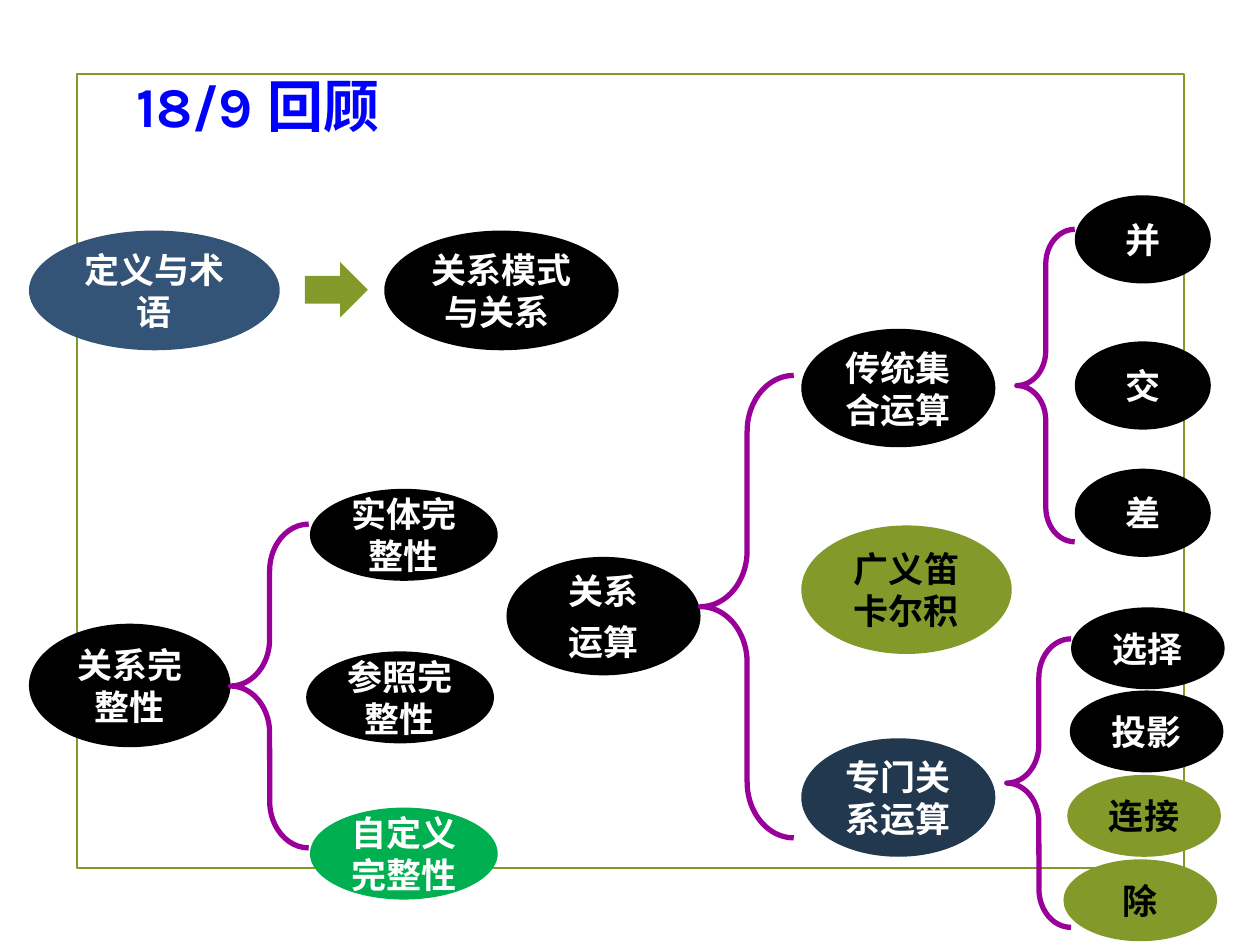
from dataclasses import dataclass

from pptx import Presentation, oxml, util as u
from pptx.dml import color
from pptx.enum import shapes, text
from pptx.oxml import ns

COLUMNS, ROWS = 100, 75
BLACK, WHITE, OLIVE, PURPLE = "000000", "FFFFFF", "83992A", "990099"
CJK_FONT = "Noto Sans CJK SC"

presentation = Presentation()
presentation.slide_width, presentation.slide_height = u.Inches(10), u.Inches(7.5)


@dataclass(frozen=True)
class Box:
    """Position and size in grid columns and rows."""
    column: float
    row: float
    columns: float
    rows: float


@dataclass(frozen=True)
class Topic:
    """An ellipse with a bold label."""
    label: str
    box: Box
    fill: str = BLACK
    ink: str = WHITE


def rgb(value: str) -> color.RGBColor:
    return color.RGBColor.from_string(value)


def grid(box: Box) -> tuple[int, int, int, int]:
    width = presentation.slide_width / COLUMNS
    height = presentation.slide_height / ROWS
    return (round(box.column * width), round(box.row * height),
            round(box.columns * width), round(box.rows * height))


def style_paragraph(paragraph, size: float, ink: str, latin: str = CJK_FONT) -> None:
    font = paragraph.font
    font.name, font.size, font.bold = latin, u.Pt(size), True
    font.color.rgb = rgb(ink)
    for run in paragraph.runs:
        east_asian = oxml.parse_xml(f'<a:ea {ns.nsdecls("a")} typeface="{CJK_FONT}"/>')
        run.font.name = latin
        run.font._element.append(east_asian)


def add_shape(slide, kind, box: Box, fill: str = "", line: str = "", weight: float = 1):
    shape = slide.shapes.add_shape(kind, *grid(box))
    shape.shadow.inherit = False
    if fill:
        shape.fill.solid()
        shape.fill.fore_color.rgb = rgb(fill)
    else:
        shape.fill.background()
    if line:
        shape.line.color.rgb = rgb(line)
        shape.line.width = u.Pt(weight)
    else:
        shape.line.fill.background()
    return shape


def add_topic(slide, topic: Topic) -> None:
    frame = add_shape(slide, shapes.MSO_SHAPE.OVAL, topic.box, topic.fill).text_frame
    frame.word_wrap = True
    frame.vertical_anchor = text.MSO_ANCHOR.MIDDLE
    frame.text = topic.label
    for index, paragraph in enumerate(frame.paragraphs):
        paragraph.alignment = text.PP_ALIGN.CENTER
        if index:
            paragraph.space_before = u.Pt(5)
        style_paragraph(paragraph, 20, topic.ink)


def add_brace(slide, box: Box) -> None:
    brace = add_shape(slide, shapes.MSO_SHAPE.LEFT_BRACE, box, line=PURPLE, weight=3)
    brace.adjustments[0] = 0.6


def add_title(slide, title: str, box: Box) -> None:
    shape = slide.shapes.title
    shape.left, shape.top, shape.width, shape.height = grid(box)
    frame = shape.text_frame
    frame.text = title
    frame.word_wrap = True
    frame.auto_size = text.MSO_AUTO_SIZE.NONE
    frame.vertical_anchor = text.MSO_ANCHOR.TOP
    paragraph = frame.paragraphs[0]
    paragraph.alignment = text.PP_ALIGN.JUSTIFY
    style_paragraph(paragraph, 32, "0000FF", "Karla")


def operation(label: str, column: float, row: float, fill: str = BLACK, ink: str = WHITE) -> Topic:
    return Topic(label, Box(column, row, 12.2, 6.5), fill, ink)


def set_operation(label: str, row: float) -> Topic:
    return Topic(label, Box(85.3, row, 10.8, 7))


def algebra(label: str, column: float, row: float, fill: str = BLACK) -> Topic:
    return Topic(label, Box(column, row, 15.4, 9.4), fill)


def integrity(label: str, column: float, row: float, fill: str = BLACK) -> Topic:
    return Topic(label, Box(column, row, 14.9, 7.3), fill)


TOPICS = [
    Topic("定义与术语", Box(2.3, 18.3, 19.9, 9.5), "335476"),
    Topic("关系模式与关系 ", Box(30.5, 18.3, 18.6, 9.5)),
    set_operation("并", 15.5),
    set_operation("交", 27.1),
    set_operation("差", 37.2),
    operation("选择", 85, 48.2),
    operation("投影", 84.9, 54.8),
    operation("连接", 84.7, 61.5, OLIVE, BLACK),
    operation("除", 84.4, 68.2, OLIVE, BLACK),
    algebra("关系\n运算", 40.2, 44.2),
    algebra("传统集合运算", 63.6, 26.1),
    Topic("广义笛卡尔积", Box(63.6, 41.7, 16.7, 10.2), OLIVE, BLACK),
    algebra("专门关系运算", 63.6, 58.6, "22384E"),
    Topic("关系完整性", Box(2.3, 49.5, 16, 9.8)),
    integrity("实体完整性", 24.6, 38.8),
    integrity("参照完整性", 24.3, 51.7),
    integrity("自定义完整性", 24.6, 64.1, "00B050"),
]

BRACES = [
    Box(80.7, 18.2, 4.6, 24.8),
    Box(79.9, 50.7, 5.1, 22.9),
    Box(55.6, 29.8, 7.4, 36.7),
    Box(18.3, 41.6, 6.2, 25.7),
]


def main() -> None:
    slide = presentation.slides.add_slide(presentation.slide_layouts[5])
    add_shape(slide, shapes.MSO_SHAPE.RECTANGLE, Box(6.1, 5.9, 87.9, 63), line=OLIVE, weight=1.25)
    add_title(slide, "18/9 回顾", Box(9.8, 5.2, 76.4, 6.4))
    add_shape(slide, shapes.MSO_SHAPE.RIGHT_ARROW, Box(24.2, 20.8, 5, 4.4), OLIVE)
    for topic in TOPICS:
        add_topic(slide, topic)
    for box in BRACES:
        add_brace(slide, box)
    presentation.save("out.pptx")


if __name__ == "__main__":
    main()
